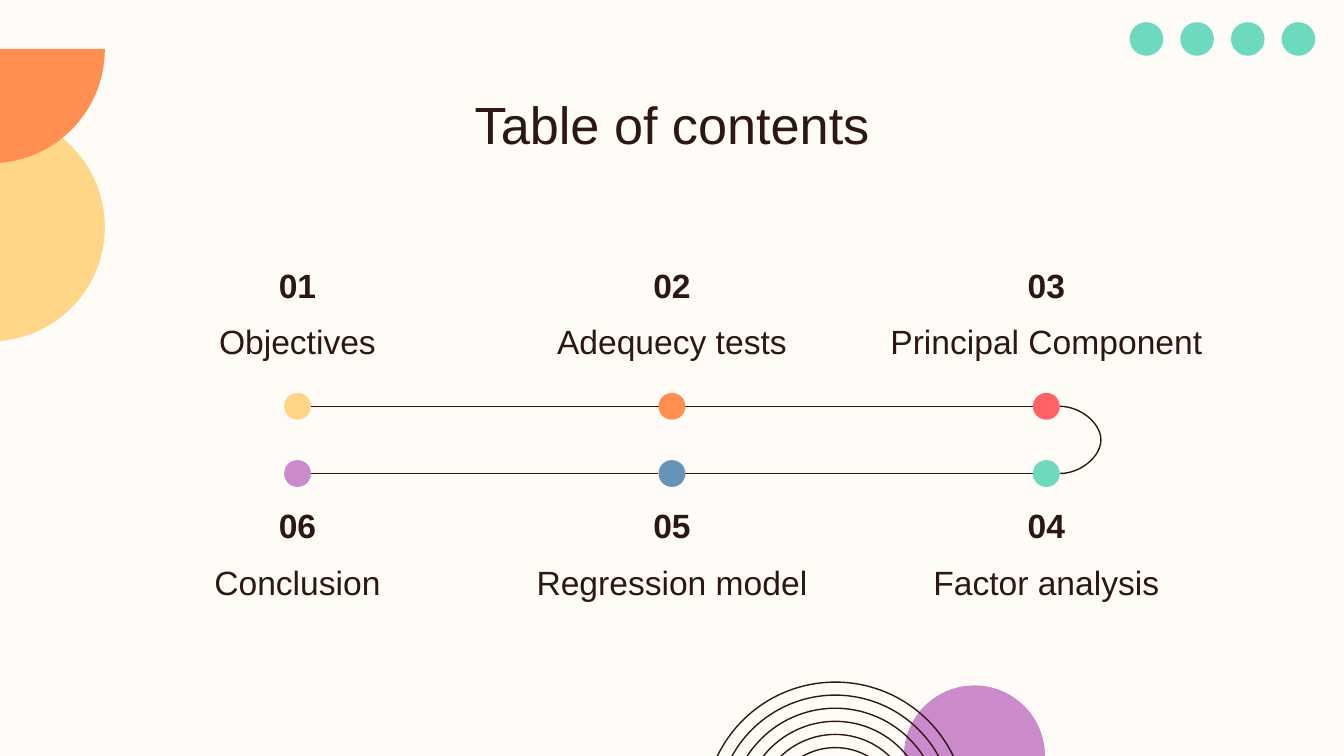
import dataclasses

import pptx
import pptx.dml.color
import pptx.enum.shapes
import pptx.enum.text
import pptx.oxml.ns
import pptx.util
from lxml import etree

SHAPE = pptx.enum.shapes.MSO_SHAPE
ANCHOR = pptx.enum.text.MSO_ANCHOR
INK, CREAM = "2E1612", "FFFBF7"
YELLOW, ORANGE, RED = "FFD688", "FF8E50", "FF6262"
MINT, BLUE, PURPLE = "6DD9BF", "6694B8", "CB8ACC"

# Widescreen slide; timeline grid of three columns about its centre, two rows
WIDTH = 10
HEIGHT = WIDTH * 9 / 16
COLUMN_STEP = WIDTH * 0.2786
COLUMNS = [WIDTH / 2 + i * COLUMN_STEP for i in (-1, 0, 1)]
TRACK_GAP = 0.5
TRACKS = [HEIGHT * 0.5375 + row * TRACK_GAP for row in (0, 1)]
NUMBER_TOPS = [1.99, 3.78]
LABEL_DROP = 0.3
DOT = 0.2


@dataclasses.dataclass
class Step:
    number: str
    label: str
    color: str
    column: int
    row: int


STEPS = [
    Step("01", "Objectives", YELLOW, 0, 0),
    Step("02", "Adequecy tests", ORANGE, 1, 0),
    Step("03", "Principal Component", RED, 2, 0),
    Step("04", "Factor analysis", MINT, 2, 1),
    Step("05", "Regression model", BLUE, 1, 1),
    Step("06", "Conclusion", PURPLE, 0, 1),
]


def inch(value: float) -> int:
    return pptx.util.Inches(value)


def rgb(color: str) -> pptx.dml.color.RGBColor:
    return pptx.dml.color.RGBColor.from_string(color)


def add_round(slide, cx: float, cy: float, size: float, fill: str = "",
              kind=SHAPE.OVAL):
    """Round shape about its centre: filled, or outlined when no fill is given."""
    sp = slide.shapes.add_shape(kind, inch(cx - size / 2), inch(cy - size / 2),
                                inch(size), inch(size))
    sp.shadow.inherit = False
    if fill:
        sp.fill.solid()
        sp.fill.fore_color.rgb = rgb(fill)
        sp.line.fill.background()
    else:
        sp.fill.background()
        sp.line.color.rgb = rgb(INK)
        sp.line.width = pptx.util.Pt(0.75)
    return sp


def add_text(slide, text: str, cx: float, top: float, width: float, height: float,
             size: float, bold: bool = False, anchor=ANCHOR.TOP) -> None:
    sp = slide.shapes.add_textbox(inch(cx - width / 2), inch(top),
                                  inch(width), inch(height))
    tf = sp.text_frame
    tf.word_wrap = True
    tf.vertical_anchor = anchor
    tf.margin_left = tf.margin_right = tf.margin_top = tf.margin_bottom = inch(0.1)
    p = tf.paragraphs[0]
    p.alignment = pptx.enum.text.PP_ALIGN.CENTER
    r = p.add_run()
    r.text = text
    r.font.name = "Arial"
    r.font.size = pptx.util.Pt(size)
    r.font.bold = bold
    r.font.color.rgb = rgb(INK)


def add_curve(slide, x1: float, y1: float, x2: float, y2: float):
    line = slide.shapes.add_connector(pptx.enum.shapes.MSO_CONNECTOR.CURVE,
                                      inch(x1), inch(y1), inch(x2), inch(y2))
    line.line.color.rgb = rgb(INK)
    line.line.width = pptx.util.Pt(0.75)
    etree.SubElement(line._element.spPr, pptx.oxml.ns.qn("a:effectLst"))
    return line


def add_turn(slide, x: float, y1: float, y2: float, bulge: float) -> None:
    """Loop from one track to the next; the bulge is a multiple of a tiny width."""
    sliver = pptx.util.Pt(0.05)
    line = add_curve(slide, x, y1, x, y2)
    line.width = sliver
    geometry = line._element.spPr.find(pptx.oxml.ns.qn("a:prstGeom"))
    guides = geometry.get_or_add_avLst()
    share = round(inch(bulge) / sliver * 100000)
    etree.SubElement(guides, pptx.oxml.ns.qn("a:gd"), name="adj1", fmla=f"val {share}")


def add_decoration(slide) -> None:
    # Row of dots, top right
    for i in range(4):
        add_round(slide, 8.53 + i * 0.377, 0.29, 0.25, MINT)
    # Overlapping discs, left edge and bottom
    add_round(slide, -0.07, 1.69, 1.7, YELLOW)
    pie = add_round(slide, -0.07, 0.365, 1.7, ORANGE, SHAPE.PIE)
    pie.adjustments[0] = 0
    pie.adjustments[1] = 108.4 * 0.6  # degrees to adjustment units
    add_round(slide, 7.25, HEIGHT, 1.05, PURPLE)
    # Concentric rings
    for i in range(6):
        add_round(slide, 6.215, 6.05, 1.95 * (1 - i / 10))


def add_timeline(slide) -> None:
    for step in STEPS:
        cx, top = COLUMNS[step.column], NUMBER_TOPS[step.row]
        add_text(slide, step.number, cx, top, 0.76, 0.38, 18, True, ANCHOR.BOTTOM)
        add_text(slide, step.label, cx, top + LABEL_DROP, COLUMN_STEP, 0.49, 18)
    # Links between neighbouring steps, in reading order
    for a, b in zip(STEPS, STEPS[1:]):
        xa, xb = COLUMNS[a.column], COLUMNS[b.column]
        ya, yb = TRACKS[a.row], TRACKS[b.row]
        if a.row != b.row:
            add_turn(slide, xa + DOT / 2, ya, yb, 0.27)
        else:
            gap = DOT / 2 if xb > xa else -DOT / 2
            add_curve(slide, xa + gap, ya, xb - gap, yb)
    for step in STEPS:
        add_round(slide, COLUMNS[step.column], TRACKS[step.row], DOT, step.color)


def main() -> None:
    prs = pptx.Presentation()
    prs.slide_width, prs.slide_height = inch(WIDTH), inch(HEIGHT)
    slide = prs.slides.add_slide(prs.slide_layouts[6])
    slide.background.fill.solid()
    slide.background.fill.fore_color.rgb = rgb(CREAM)
    add_decoration(slide)
    add_text(slide, "Table of contents", WIDTH / 2, 0.59, 8.43, 0.63, 28)
    add_timeline(slide)
    prs.save("out.pptx")


if __name__ == "__main__":
    main()
